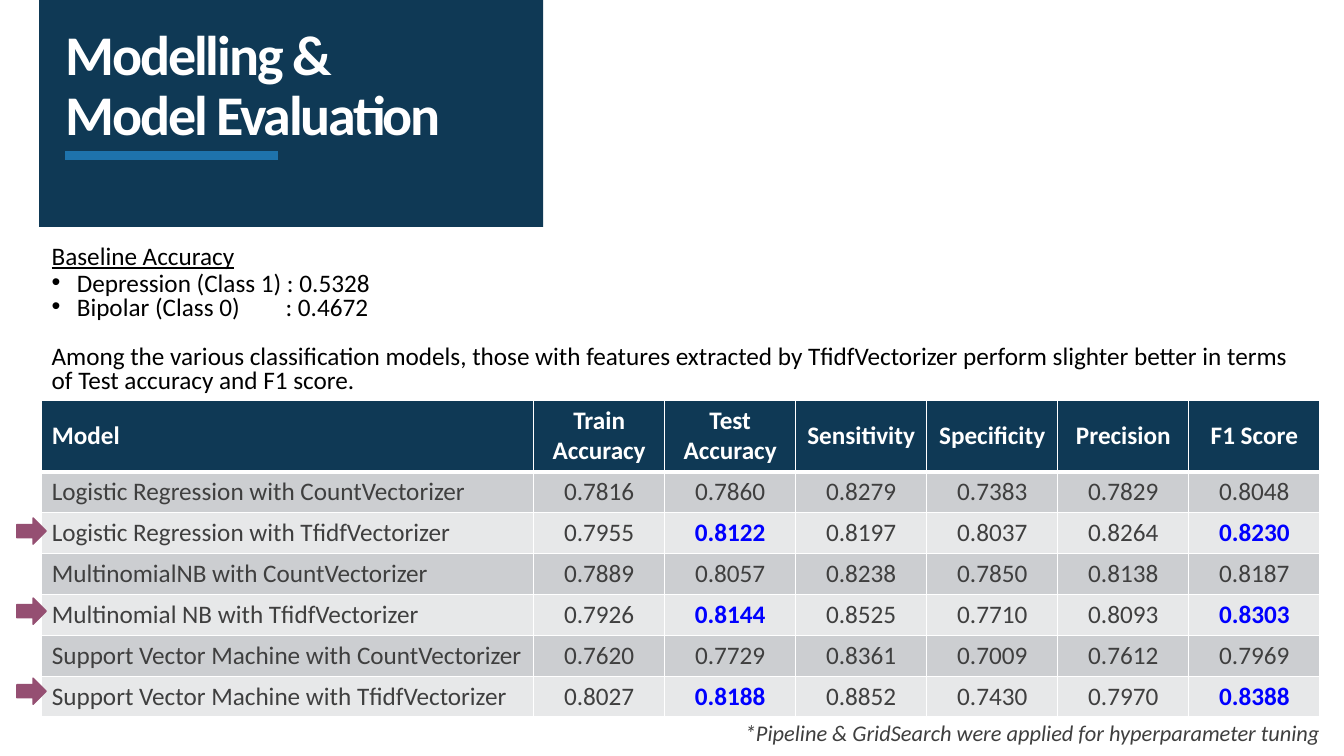
from lxml import etree
from pptx import Presentation
from pptx.dml.color import RGBColor
from pptx.enum import shapes, text
from pptx.oxml import ns
from pptx.util import Pt

NAVY = RGBColor(0x0F, 0x39, 0x55)
BLUE = RGBColor(0x1E, 0x73, 0xAC)
PLUM = RGBColor(0x95, 0x4F, 0x72)
WHITE = RGBColor(0xFF, 0xFF, 0xFF)
BLACK = RGBColor(0, 0, 0)
GRAY = RGBColor(0x3F, 0x3F, 0x3F)
BEST = RGBColor(0, 0, 0xFF)
DARK_BAND = RGBColor(0xCC, 0xCE, 0xD1)
LIGHT_BAND = RGBColor(0xE7, 0xE8, 0xE9)

METRICS = ["Model", "Train Accuracy", "Test Accuracy", "Sensitivity",
           "Specificity", "Precision", "F1 Score"]
RESULTS = [
    ["Logistic Regression with CountVectorizer", "0.7816", "0.7860", "0.8279", "0.7383", "0.7829", "0.8048"],
    ["Logistic Regression with TfidfVectorizer", "0.7955", "0.8122", "0.8197", "0.8037", "0.8264", "0.8230"],
    ["MultinomialNB with CountVectorizer", "0.7889", "0.8057", "0.8238", "0.7850", "0.8138", "0.8187"],
    ["Multinomial NB with TfidfVectorizer", "0.7926", "0.8144", "0.8525", "0.7710", "0.8093", "0.8303"],
    ["Support Vector Machine with CountVectorizer", "0.7620", "0.7729", "0.8361", "0.7009", "0.7612", "0.7969"],
    ["Support Vector Machine with TfidfVectorizer", "0.8027", "0.8188", "0.8852", "0.7430", "0.7970", "0.8388"],
]
BEST_COLUMNS = (METRICS.index("Test Accuracy"), METRICS.index("F1 Score"))


def style_font(font, color, **values):
    for key, value in {"name": "Calibri", "size": Pt(18), **values}.items():
        setattr(font, key, value)
    font.color.rgb = color


def add_xml(parent, tag, **attributes):
    return etree.SubElement(parent, ns.qn(tag), attributes)


def draw_heading(slide, left, top, width, height):
    panel = slide.shapes.add_shape(shapes.MSO_SHAPE.RECTANGLE, Pt(left), Pt(top), Pt(width), Pt(height))
    panel.shadow.inherit = False
    panel.fill.solid()
    panel.fill.fore_color.rgb = NAVY
    panel.line.fill.background()

    text_left = left + 18.7
    rule_y = Pt(top + 111)
    rule = slide.shapes.add_connector(shapes.MSO_CONNECTOR.STRAIGHT,
                                      Pt(text_left + 152), rule_y, Pt(text_left), rule_y)
    rule.line.color.rgb = BLUE
    rule.line.width = Pt(6)
    add_xml(rule.element.spPr, "a:effectLst")

    title = slide.shapes.title
    title.element.getparent().append(title.element)
    title.left, title.top, title.width, title.height = Pt(text_left), Pt(top + 25.2), Pt(338.4), Pt(80.6)
    frame = title.text_frame
    settings = {"margin_left": 0, "margin_top": Pt(3.6), "margin_right": Pt(7.2), "margin_bottom": 0,
                "vertical_anchor": text.MSO_ANCHOR.BOTTOM, "word_wrap": True,
                "auto_size": text.MSO_AUTO_SIZE.NONE}
    for key, value in settings.items():
        setattr(frame, key, value)
    heading = frame.paragraphs[0]
    heading.text = "Modelling &\vModel Evaluation"
    heading.alignment = text.PP_ALIGN.LEFT
    heading.line_spacing = 0.9
    for run in heading.runs:
        style_font(run.font, WHITE, size=Pt(40), bold=True)
        run.font._element.set("spc", "-150")


def draw_baseline(slide, left, top, width, height):
    frame = slide.shapes.add_textbox(Pt(left), Pt(top), Pt(width), Pt(height)).text_frame
    frame.word_wrap = True
    lines = [
        (["Baseline Accuracy"], False, 0),
        (["Depression (Class 1) : 0.5328"], True, 2),
        (["Bipolar (Class 0)", " ", ": 0.4672"], True, 0),
        (["Among the various classification models, those with features extracted by TfidfVectorizer "
          "perform slighter better in terms of Test accuracy and F1 score."], False, 17.6),
    ]
    for index, (parts, bulleted, gap) in enumerate(lines):
        line = frame.add_paragraph() if index else frame.paragraphs[0]
        line.line_spacing = 0.8
        if gap:
            line.space_before = Pt(gap)
        if bulleted:
            layout = line._p.get_or_add_pPr()
            layout.set("marL", str(Pt(18)))
            layout.set("indent", str(-Pt(18)))
            add_xml(layout, "a:buFont", typeface="Arial")
            add_xml(layout, "a:buChar", char="•")
        for part in parts:
            run = line.add_run()
            run.text = part
            style_font(run.font, BLACK, underline=index == 0)
            if part == " ":
                run.font._element.set("spc", "2850")


def set_borders(cell, top, bottom):
    properties = cell._tc.get_or_add_tcPr()
    for side, weight in {"L": 1, "R": 1, "T": top, "B": bottom}.items():
        edge = add_xml(properties, f"a:ln{side}", w=str(Pt(weight)))
        add_xml(add_xml(edge, "a:solidFill"), "a:srgbClr", val=str(WHITE))


def draw_results(slide, left, top, width, height):
    header_height, metric_width = 51, 93.6
    row_height = (height - header_height) / len(RESULTS)
    results = slide.shapes.add_table(len(RESULTS) + 1, len(METRICS),
                                     Pt(left), Pt(top), Pt(width), Pt(height)).table
    for index, column in enumerate(results.columns):
        column.width = Pt(metric_width if index else width - metric_width * (len(METRICS) - 1))
    for row_index, values in enumerate([METRICS] + RESULTS):
        header = row_index == 0
        tfidf = row_index > 0 and row_index % 2 == 0
        results.rows[row_index].height = Pt(header_height if header else row_height)
        for column_index, value in enumerate(values):
            cell = results.cell(row_index, column_index)
            set_borders(cell, 3 if row_index == 1 else 1, 3 if header else 1)
            cell.fill.solid()
            cell.fill.fore_color.rgb = NAVY if header else LIGHT_BAND if tfidf else DARK_BAND
            cell.vertical_anchor = text.MSO_ANCHOR.MIDDLE if header else text.MSO_ANCHOR.TOP
            cell.text = value
            entry = cell.text_frame.paragraphs[0]
            entry.alignment = text.PP_ALIGN.CENTER if column_index else text.PP_ALIGN.LEFT
            best = tfidf and column_index in BEST_COLUMNS
            style_font(entry.runs[0].font, WHITE if header else BEST if best else GRAY, bold=header or best)


def draw_arrows(slide, left, top, width, height, step):
    for index in range(3):
        arrow = slide.shapes.add_shape(shapes.MSO_SHAPE.RIGHT_ARROW, Pt(left), Pt(top + index * step),
                                       Pt(width), Pt(height))
        arrow.shadow.inherit = False
        arrow.fill.solid()
        arrow.fill.fore_color.rgb = PLUM
        arrow.line.color.rgb = PLUM
        arrow.line.width = Pt(1)


def draw_footnote(slide, left, top, width, height):
    frame = slide.shapes.add_textbox(Pt(left), Pt(top), Pt(width), Pt(height)).text_frame
    frame.word_wrap = False
    frame.auto_size = text.MSO_AUTO_SIZE.SHAPE_TO_FIT_TEXT
    footnote = frame.paragraphs[0].add_run()
    footnote.text = "*Pipeline & GridSearch were applied for hyperparameter tuning"
    style_font(footnote.font, GRAY, size=Pt(16), italic=True)


def main():
    deck = Presentation()
    deck.slide_width, deck.slide_height = Pt(960), Pt(540)
    slide = deck.slides.add_slide(deck.slide_layouts[5])
    draw_heading(slide, 28, 0, 360, 162)
    draw_results(slide, 29.8, 285.8, 913, 226.2)
    draw_baseline(slide, 29.8, 172, 900.7, 123)
    draw_arrows(slide, 12, 370, 21, 18.7, 57.2)
    draw_footnote(slide, 525, 510, 427.7, 26.6)
    deck.save("out.pptx")


if __name__ == "__main__":
    main()
